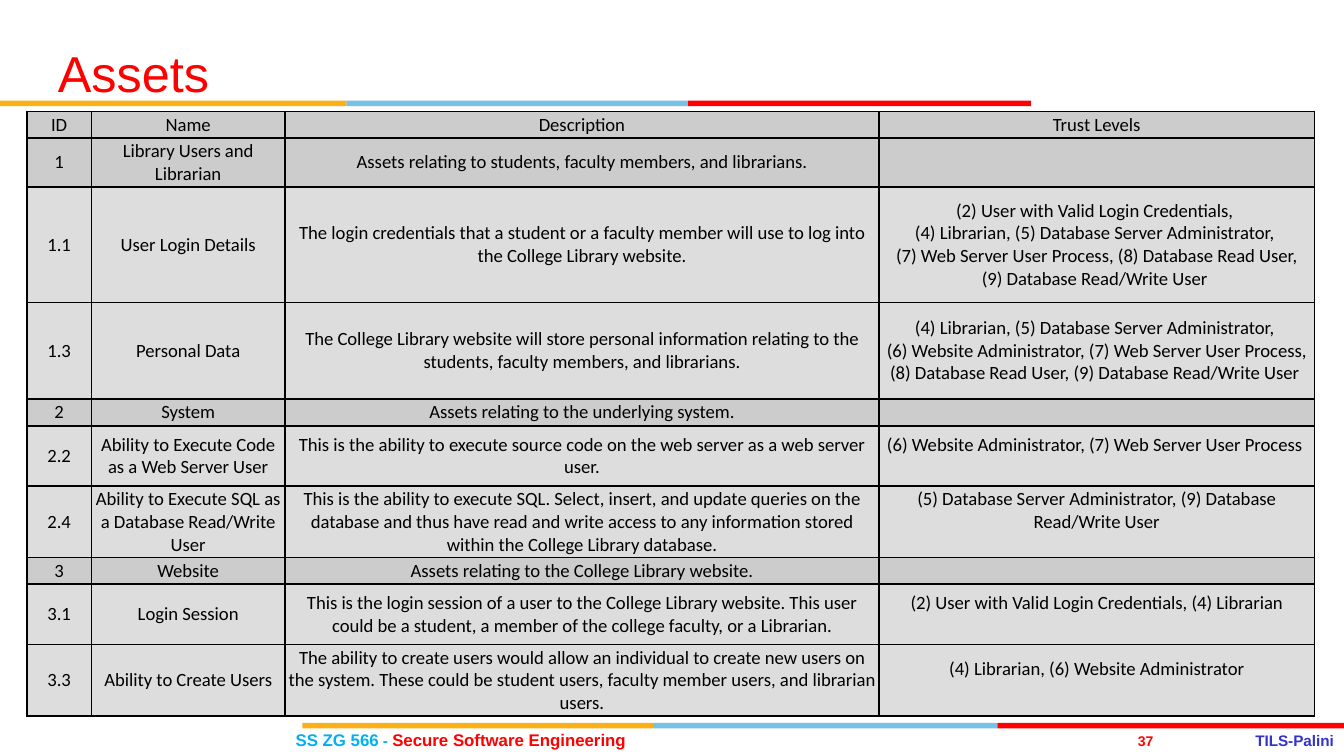
from dataclasses import dataclass
from itertools import pairwise

from lxml.etree import SubElement
from pptx import Presentation
from pptx.dml.color import RGBColor
from pptx.enum.shapes import MSO_SHAPE as Shape
from pptx.enum.text import MSO_ANCHOR as Anchor, PP_ALIGN as Align
from pptx.oxml.ns import qn
from pptx.util import Inches, Pt


@dataclass(frozen=True)
class Theme:
    heading_font: str = "Arial"
    table_font: str = "Calibri"
    title_size: float = 27
    course_size: float = 9
    footer_size: float = 8.2
    page_size: float = 7.5
    cell_size: float = 10
    cell_margin: float = 1.1
    black: str = "000000"
    red: str = "FF0000"
    amber: str = "FCB017"
    sky: str = "76C2E5"
    cyan: str = "00B0F0"
    indigo: str = "3333CC"
    group_fill: str = "CCCCCC"
    detail_fill: str = "DDDDDD"


THEME = Theme()
SLIDE_WIDTH = 10
SLIDE_HEIGHT = SLIDE_WIDTH * 9 / 16
COLUMN_WIDTHS = (0.48, 1.44, 4.42, 3.24)
ROW_HEIGHTS = (0.18, 0.36, 0.86, 0.72, 0.18, 0.45, 0.45, 0.18, 0.45, 0.45)
TABLE_HEIGHT = 4.51
ASSETS = (
    ("ID", "Name", "Description", "Trust Levels"),
    ("1", "Library Users and Librarian",
     "Assets relating to students, faculty members, and librarians.", ""),
    ("1.1", "User Login Details",
     "The login credentials that a student or a faculty member will use to log into "
     "the College Library website.",
     "(2) User with Valid Login Credentials, \n"
     "(4) Librarian, (5) Database Server Administrator, \n"
     "(7) Web Server User Process, (8) Database Read User,\n"
     "(9) Database Read/Write User "),
    ("1.3", "Personal Data",
     "The College Library website will store personal information relating to the "
     "students, faculty members, and librarians.",
     "(4) Librarian, (5) Database Server Administrator, \n"
     "(6) Website Administrator, (7) Web Server User Process, "
     "(8) Database Read User, (9) Database Read/Write User "),
    ("2", "System", "Assets relating to the underlying system.", ""),
    ("2.2", "Ability to Execute Code as a Web Server User",
     "This is the ability to execute source code on the web server as a web server user.",
     "(6) Website Administrator, (7) Web Server User Process \n"),
    ("2.4", "Ability to Execute SQL as a Database Read/Write User",
     "This is the ability to execute SQL. Select, insert, and update queries on the "
     "database and thus have read and write access to any information stored within "
     "the College Library database.",
     "(5) Database Server Administrator, (9) Database Read/Write User\n"),
    ("3", "Website", "Assets relating to the College Library website.", ""),
    ("3.1", "Login Session",
     "This is the login session of a user to the College Library website. This user "
     "could be a student, a member of the college faculty, or a Librarian.",
     "(2) User with Valid Login Credentials, (4) Librarian\n"),
    ("3.3", "Ability to Create Users",
     "The ability to create users would allow an individual to create new users on the "
     "system. These could be student users, faculty member users, and librarian users.",
     "(4) Librarian, (6) Website Administrator\n"),
)


def add_run(paragraph, text, size, color, font=THEME.heading_font, bold=False):
    run = paragraph.add_run()
    run.text = text
    run.font.size = Pt(size)
    run.font.name = font
    run.font.bold = bold
    run.font.color.rgb = RGBColor.from_string(color)


def add_title(slide, text):
    title = slide.shapes.title
    title.left, title.top = Inches(0.33), Inches(0.27)
    title.width, title.height = Inches(6.92), Inches(0.61)
    title.text_frame.vertical_anchor = Anchor.MIDDLE
    paragraph = title.text_frame.paragraphs[0]
    paragraph.alignment = Align.LEFT
    paragraph.line_spacing = Pt(THEME.title_size)
    add_run(paragraph, text, THEME.title_size, THEME.red)


def add_stripe(slide, edges, top):
    for (left, right), color in zip(pairwise(edges), (THEME.amber, THEME.sky, THEME.red)):
        band = slide.shapes.add_shape(
            Shape.RECTANGLE, Inches(left), Inches(top), Inches(right - left), Inches(0.04))
        band.shadow.inherit = False
        band.fill.solid()
        band.fill.fore_color.rgb = RGBColor.from_string(color)
        band.line.fill.background()


def add_footer(slide, box, runs, alignment=Align.LEFT):
    footer = slide.shapes.add_textbox(*map(Inches, box))
    frame = footer.text_frame
    frame.word_wrap = True
    frame.vertical_anchor = Anchor.MIDDLE
    frame.margin_left = frame.margin_right = frame.margin_top = frame.margin_bottom = 0
    paragraph = frame.paragraphs[0]
    paragraph.alignment = alignment
    for text, size, color in runs:
        add_run(paragraph, text, size, color, bold=True)


def add_borders(cell):
    properties = cell._tc.get_or_add_tcPr()
    for side in ("a:lnL", "a:lnR", "a:lnT", "a:lnB"):
        border = SubElement(properties, qn(side), w=str(Pt(1)))
        fill = SubElement(border, qn("a:solidFill"))
        SubElement(fill, qn("a:srgbClr"), val=THEME.black)


def fill_cell(cell, text, color):
    add_borders(cell)
    cell.fill.solid()
    cell.fill.fore_color.rgb = RGBColor.from_string(color)
    cell.vertical_anchor = Anchor.MIDDLE
    margin = Pt(THEME.cell_margin)
    cell.margin_left = cell.margin_right = cell.margin_top = cell.margin_bottom = margin
    paragraph = cell.text_frame.paragraphs[0]
    paragraph.alignment = Align.CENTER
    size = str(int(THEME.cell_size * 100))
    for index, line in enumerate(text.split("\n")):
        if index:
            paragraph.add_line_break()
            SubElement(paragraph._p[-1], qn("a:rPr"), sz=size)
        if line:
            add_run(paragraph, line, THEME.cell_size, THEME.black, THEME.table_font)
    SubElement(paragraph._p, qn("a:endParaRPr"), sz=size)


def add_asset_table(slide):
    frame = slide.shapes.add_table(
        len(ROW_HEIGHTS), len(COLUMN_WIDTHS), Inches(0.2), Inches(0.83),
        Inches(sum(COLUMN_WIDTHS)), Inches(TABLE_HEIGHT))
    for column, width in zip(frame.table.columns, COLUMN_WIDTHS):
        column.width = Inches(width)
    for row, height, asset in zip(frame.table.rows, ROW_HEIGHTS, ASSETS):
        row.height = Inches(height)
        color = THEME.detail_fill if "." in asset[0] else THEME.group_fill
        for cell, text in zip(row.cells, asset):
            fill_cell(cell, text, color)
    frame.height = Inches(TABLE_HEIGHT)


def main():
    deck = Presentation()
    deck.slide_width, deck.slide_height = Inches(SLIDE_WIDTH), Inches(SLIDE_HEIGHT)
    slide = deck.slides.add_slide(deck.slide_layouts[5])
    add_footer(slide, (9.34, 5.44, 0.64, 0.14),
               [("TILS-Palini", THEME.footer_size, THEME.indigo)], Align.JUSTIFY)
    add_footer(slide, (8.4, 5.45, 0.25, 0.13),
               [("37", THEME.page_size, THEME.red)], Align.CENTER)
    add_stripe(slide, (0, 2.58, 5.12, 7.67), 0.75)
    add_stripe(slide, (2.25, 4.86, 7.42, SLIDE_WIDTH), 5.38)
    add_footer(slide, (2.2, 5.43, 2.76, 0.15),
               [("SS ZG 566", THEME.course_size, THEME.cyan),
                (" - ", THEME.footer_size, THEME.cyan),
                ("Secure Software Engineering", THEME.course_size, THEME.red)])
    add_asset_table(slide)
    add_title(slide, "Assets")
    deck.save("out.pptx")


if __name__ == "__main__":
    main()
